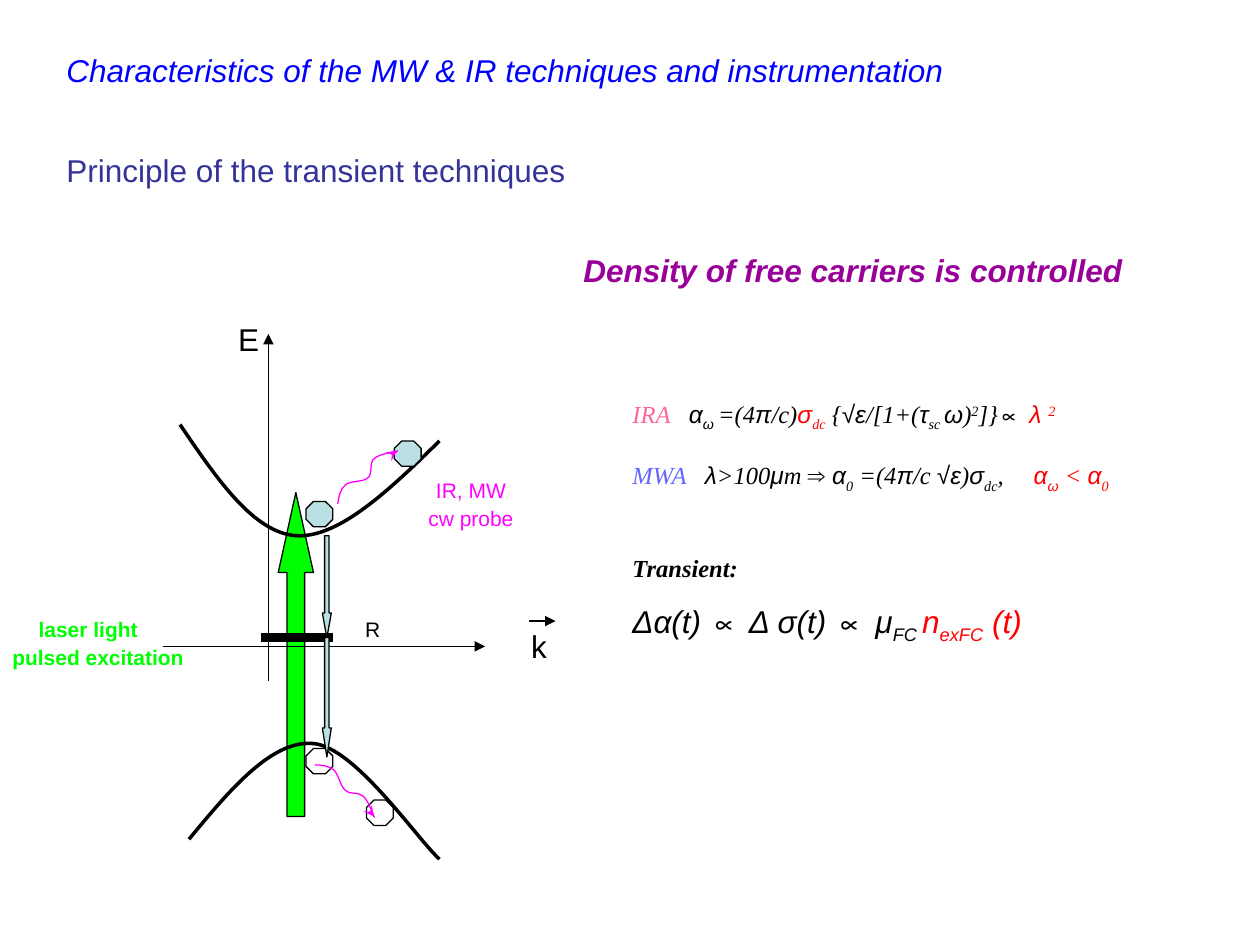
from pptx import Presentation
from pptx.dml.color import RGBColor
from pptx.enum.shapes import MSO_CONNECTOR as CONN, MSO_SHAPE as SHAPE
from pptx.enum.text import PP_ALIGN as ALIGN
from pptx.oxml.ns import qn
from pptx.util import Cm, Pt
from lxml.etree import SubElement

BLACK, RED, MAGENTA, GREEN, PALE = "000000", "FF0000", "FF00FF", "00FF00", "BBE0E3"


def rgb(value):
    return RGBColor.from_string(value)


def font(name="Arial", size=18, **extra):
    return dict(name=name, size=Pt(size), **extra)


# Formula fonts: Arial and Times, on the line, lowered or raised
AR = font(size=14, italic=True)
TM = font("Times New Roman", 14, italic=True)
AR_SUB, TM_SUB, TM_SUP = AR | {"base": -25}, TM | {"base": -25}, TM | {"base": 30}
BIG = font(italic=True)
BIG_SUB = BIG | {"base": -25}


class Slide:
    def __init__(self, prs):
        self.s = prs.slides.add_slide(prs.slide_layouts[6])

    def text(self, x, y, w, h, *paragraphs):
        """Each paragraph is (runs, format); each run is (text, font, colour)."""
        tf = self.s.shapes.add_textbox(Cm(x), Cm(y), Cm(w), Cm(h)).text_frame
        tf.word_wrap = True
        for i, (runs, fmt) in enumerate(paragraphs):
            p = tf.add_paragraph() if i else tf.paragraphs[0]
            pPr = p._p.get_or_add_pPr()
            if "left" in fmt:
                pPr.set("marL", str(Cm(fmt["left"])))
            if "tabs" in fmt:
                tabs = SubElement(pPr, qn("a:tabLst"))
                for pos in fmt["tabs"]:
                    SubElement(tabs, qn("a:tab"), pos=str(Cm(pos)), algn="l")
            for key in ("space_before", "alignment"):
                if key in fmt:
                    setattr(p, key, fmt[key])
            for content, style, *colour in runs:
                r = p.add_run()
                r.text = content
                for key, value in style.items():
                    if key == "base":
                        r._r.get_or_add_rPr().set("baseline", str(value * 1000))
                    else:
                        setattr(r.font, key, value)
                r.font.color.rgb = rgb(colour[0] if colour else BLACK)

    def label(self, x, y, w, content, style, colour=BLACK):
        self.text(x, y, w, 1.02, ([(content, style, colour)], {}))

    def outline(self, sp, colour, width, arrow=None):
        sp.line.color.rgb = rgb(colour)
        sp.line.width = Pt(width)
        if arrow:
            SubElement(sp._element.spPr.find(qn("a:ln")), qn("a:tailEnd"), type=arrow)

    def shape(self, kind, x, y, w, h, fill=None, adj=()):
        sp = self.s.shapes.add_shape(kind, Cm(x), Cm(y), Cm(w), Cm(h))
        sp.shadow.inherit = False
        for i, value in enumerate(adj):
            sp.adjustments[i] = value
        if fill:
            sp.fill.solid()
            sp.fill.fore_color.rgb = rgb(fill)
        else:
            sp.fill.background()
        self.outline(sp, BLACK, 0.75)

    def line(self, x1, y1, x2, y2, width=0.75, arrow=None):
        sp = self.s.shapes.add_connector(CONN.STRAIGHT, Cm(x1), Cm(y1), Cm(x2), Cm(y2))
        self.outline(sp, BLACK, width, arrow)
        SubElement(sp._element.spPr, qn("a:effectLst"))

    def curve(self, points, colour, width, arrow=None):
        """Draw Bezier curves: a start, then two controls and an end for each part."""
        start, *rest = [(Cm(x), Cm(y)) for x, y in points]
        fb = self.s.shapes.build_freeform(*start)
        fb.add_line_segments(rest, close=False)
        sp = fb.convert_to_shape()
        sp.shadow.inherit = False
        sp.fill.background()
        path = next(sp._element.iter(qn("a:path")))
        segments = path.findall(qn("a:lnTo"))
        for i in range(0, len(segments), 3):
            bezier = SubElement(path, qn("a:cubicBezTo"))
            for segment in segments[i:i + 3]:
                bezier.append(segment[0])
                path.remove(segment)
        self.outline(sp, colour, width, arrow)


def main():
    prs = Presentation()
    prs.slide_width, prs.slide_height = Cm(25.4), Cm(19.05)
    s = Slide(prs)

    # Headings
    s.label(1.09, 2.92, 14, "Principle of the transient techniques", font(), "333399")
    s.label(11.51, 4.93, 12.5, "Density of free carriers is controlled",
            font(bold=True, italic=True), "990099")
    s.label(1.09, 0.91, 20, "Characteristics of the MW & IR techniques and instrumentation",
            font(italic=True), "0000FF")

    # Formulas
    ira = [("IRA\t", TM, "FF6699"), ("α", AR), ("ω ", AR_SUB), ("=(4", TM), ("π", AR),
           ("/c)", TM), ("σ", AR, RED), ("dc", TM_SUB, RED), (" {", TM), ("√ε", AR),
           ("/[1+(", TM), ("τ", AR), ("sc ", TM_SUB), ("ω", AR), (")", TM),
           ("2", TM_SUP), ("]}", TM), ("∝ ", AR), ("λ ", AR, RED), ("2", TM_SUP, RED)]
    mwa = [("MWA\t", TM, "6666FF"), ("λ", AR), (">100", TM), ("μ", AR), ("m ", TM),
           ("⇒ α", AR), ("0", TM_SUB), (" =(4", TM), ("π", AR), ("/c ", TM),
           ("√ε", AR), (")", TM), ("σ", AR), ("dc", TM_SUB), (",\t", TM),
           ("α", AR, RED), ("ω", AR_SUB, RED), (" < ", TM, RED), ("α", AR, RED),
           ("0", TM_SUB, RED)]
    transient = [("Δα(t) ∝ Δ σ(t) ∝ μ", BIG), ("FC ", BIG_SUB), ("n", BIG, RED),
                 ("exFC", BIG_SUB, RED), (" (t)", BIG, RED)]
    s.text(12.5, 7.92, 12.19, 6.43,
           (ira, {"tabs": [1.14]}),
           (mwa, {"tabs": [1.46, 8.09], "space_before": Pt(16)}),
           ([("Transient:", TM | {"bold": True})], {"space_before": Pt(33.7)}),
           (transient, {"space_before": Pt(11.2)}))

    # Excitation arrow and energy bands
    s.shape(SHAPE.UP_ARROW, 5.61, 9.93, 0.71, 6.53, GREEN, (0.5, 2.27))
    s.curve([(3.63, 8.56), (4.37, 9.65), (5.11, 10.74), (5.97, 10.8),
             (6.83, 10.85), (7.85, 9.88), (8.86, 8.89)], BLACK, 2)
    s.curve([(3.81, 16.92), (4.65, 15.9), (5.49, 14.91), (6.32, 14.99),
             (7.16, 15.06), (8.43, 16.94), (8.86, 17.32)], BLACK, 2)

    # Axes with their names
    s.line(3.28, 13.03, 9.78, 13.03, arrow="triangle")
    s.label(10.46, 12.52, 1.2, "k", font())
    s.line(10.67, 12.52, 11.2, 12.52, arrow="triangle")
    s.label(4.55, 6.32, 1.2, "E", font())

    # Carriers: filled electrons, empty holes
    for x, y, fill in ((6.17, 10.11, PALE), (6.17, 15.09, None),
                       (7.95, 8.89, PALE), (7.39, 16.13, None)):
        s.shape(SHAPE.OCTAGON, x, y, 0.54, 0.51, fill)

    # Light labels
    probe, laser = font(size=12), font(size=12, bold=True)
    second = {"space_before": Pt(1.3)}
    centre = {"alignment": ALIGN.CENTER}
    s.text(8.15, 9.51, 2.69, 1.33,
           ([("IR, MW", probe, MAGENTA)], centre),
           ([("cw probe", probe, MAGENTA)], centre | second))
    s.text(0, 12.31, 4.2, 1.33,
           ([("laser light", laser, GREEN)], {"left": 0.53}),
           ([("pulsed excitation", laser, GREEN)], second))

    # Recombination through the level
    s.line(5.26, 12.85, 6.71, 12.85, width=5)
    s.shape(SHAPE.DOWN_ARROW, 6.5, 10.8, 0.18, 2.06, PALE, (0.5, 2.78))
    s.shape(SHAPE.DOWN_ARROW, 6.5, 12.85, 0.18, 2.41, PALE, (0.5, 3.25))
    s.label(7.11, 12.31, 1.1, "R", probe)

    # Probe transitions within the bands
    s.curve([(6.35, 15.42), (6.48, 15.42), (6.63, 15.44), (6.73, 15.52),
             (6.83, 15.62), (6.86, 15.85), (6.96, 15.93),
             (7.04, 16.03), (7.21, 15.95), (7.32, 16.05),
             (7.42, 16.13), (7.52, 16.41), (7.54, 16.46),
             (7.57, 16.51), (7.44, 16.33), (7.44, 16.33),
             (7.44, 16.33), (7.49, 16.38), (7.54, 16.46)], MAGENTA, 0.75, "stealth")
    s.curve([(6.81, 10.16), (6.83, 10.01), (6.86, 9.86), (6.96, 9.78),
             (7.06, 9.68), (7.32, 9.73), (7.42, 9.63),
             (7.52, 9.55), (7.44, 9.32), (7.54, 9.25),
             (7.65, 9.14), (7.95, 9.12), (8, 9.09),
             (8.05, 9.09), (7.87, 9.17), (7.87, 9.17),
             (7.87, 9.17), (7.92, 9.14), (8, 9.09)], MAGENTA, 0.75, "stealth")

    # Energy axis
    s.line(5.41, 13.72, 5.41, 6.73, arrow="triangle")

    prs.save("out.pptx")


if __name__ == "__main__":
    main()
